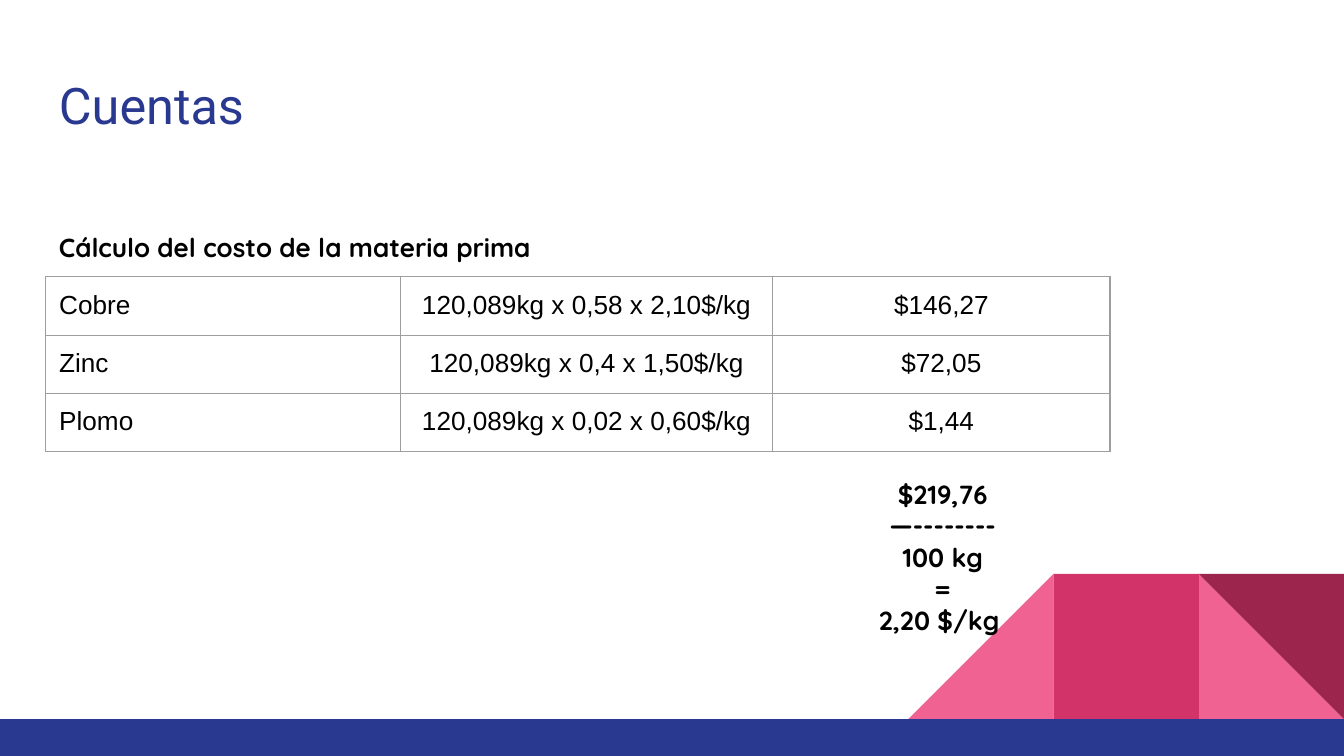
import pptx
import pptx.util
import pptx.dml.color
import pptx.enum.shapes
import pptx.enum.text
import pptx.oxml
import pptx.oxml.ns

Inches = pptx.util.Inches
Pt = pptx.util.Pt
SHAPE = pptx.enum.shapes.MSO_SHAPE
ALIGN = pptx.enum.text.PP_ALIGN
SLIDE_WIDTH = 10
SLIDE_HEIGHT = SLIDE_WIDTH * 9 / 16
MARGIN = 0.1
BORDER = "9E9E9E"
TITLE_FONT = {"name": "Roboto", "size": Pt(27), "bold": False, "color": "2A3990"}
CELL_FONT = {"name": "Arial", "size": Pt(14), "bold": False, "color": "000000"}
NOTE_FONT = {"name": "Quicksand", "size": Pt(14), "bold": True, "color": "000000"}


def to_color(value):
    return pptx.dml.color.RGBColor.from_string(value)


def format_font(font, values):
    for name, value in values.items():
        if name == "color":
            font.color.rgb = to_color(value)
        else:
            setattr(font, name, value)


def set_margins(target):
    for side in ("left", "top", "right", "bottom"):
        setattr(target, f"margin_{side}", Inches(MARGIN))


def write_lines(frame, lines, font, alignment):
    frame.text = "\n".join(lines)
    for paragraph in frame.paragraphs:
        paragraph.alignment = alignment
        for run in paragraph.runs:
            format_font(run.font, font)


def add_text(slide, box, lines, font, alignment=ALIGN.LEFT):
    shape = slide.shapes.add_textbox(*map(Inches, box))
    frame = shape.text_frame
    frame.word_wrap = True
    set_margins(frame)
    write_lines(frame, lines, font, alignment)


def add_block(slide, kind, box, color, rotation=0, mirrored=False):
    shape = slide.shapes.add_shape(kind, *map(Inches, box))
    shape.shadow.inherit = False
    shape.fill.solid()
    shape.fill.fore_color.rgb = to_color(color)
    shape.line.fill.background()
    shape.rotation = rotation
    if mirrored:
        shape._element.spPr.xfrm.set("flipH", "1")


def add_decoration(slide, box):
    left, top, width, height = box
    side = 1.08
    blocks = [
        (SHAPE.RIGHT_TRIANGLE, 1, "F06292", 0, False),
        (SHAPE.RIGHT_TRIANGLE, 3, "F06292", 0, True),
        (SHAPE.RECTANGLE, 2, "D23369", 0, False),
        (SHAPE.RIGHT_TRIANGLE, 1, "9C254D", 180, False),
    ]
    for kind, steps, color, rotation, mirrored in blocks:
        place = (left + width - steps * side, top, side, side)
        add_block(slide, kind, place, color, rotation, mirrored)
    bar = (left, top + side, width, height - side)
    add_block(slide, SHAPE.RECTANGLE, bar, "2A3990")


def add_borders(cell):
    properties = cell._tc.get_or_add_tcPr()
    for side in "LRTB":
        properties.append(pptx.oxml.parse_xml(
            f'<a:ln{side} {pptx.oxml.ns.nsdecls("a")} w="{Pt(0.75)}">'
            f'<a:solidFill><a:srgbClr val="{BORDER}"/></a:solidFill></a:ln{side}>'
        ))


def add_cost_table(slide, left, top):
    rows = [
        ("Cobre", "120,089kg x 0,58 x 2,10$/kg", "$146,27"),
        ("Zinc", "120,089kg x 0,4 x 1,50$/kg", "$72,05"),
        ("Plomo", "120,089kg x 0,02 x 0,60$/kg", "$1,44"),
    ]
    widths = [2.64, 2.77, 2.51]
    row_height = 0.42
    box = (left, top, sum(widths), row_height * len(rows))
    table = slide.shapes.add_table(len(rows), len(widths), *map(Inches, box)).table
    table.first_row = False
    table.horz_banding = False
    for column, width in zip(table.columns, widths):
        column.width = Inches(width)
    for row_index, values in enumerate(rows):
        table.rows[row_index].height = Inches(row_height)
        for column_index, value in enumerate(values):
            cell = table.cell(row_index, column_index)
            set_margins(cell)
            add_borders(cell)
            cell.fill.background()
            alignment = ALIGN.CENTER if column_index else ALIGN.LEFT
            write_lines(cell.text_frame, [value], CELL_FONT, alignment)


def add_accounts_slide(presentation):
    slide = presentation.slides.add_slide(presentation.slide_layouts[6])
    left = 0.34
    decoration_top = 4.27
    add_decoration(slide, (0, decoration_top, SLIDE_WIDTH, SLIDE_HEIGHT - decoration_top))
    add_text(slide, (left, 0.45, 9.32, 0.66), ["Cuentas"], TITLE_FONT)
    add_cost_table(slide, left, 2.06)
    add_text(slide, (left, 1.62, 3.96, 0.32),
             ["Cálculo del costo de la materia prima"], NOTE_FONT)
    add_text(slide, (5.77, 3.46, 2.49, 0.54),
             ["$219,76", "—--------", "100 kg", "=", "2,20 $/kg "],
             NOTE_FONT, ALIGN.CENTER)


def main():
    presentation = pptx.Presentation()
    presentation.slide_width = Inches(SLIDE_WIDTH)
    presentation.slide_height = Inches(SLIDE_HEIGHT)
    add_accounts_slide(presentation)
    presentation.save("out.pptx")


if __name__ == "__main__":
    main()
